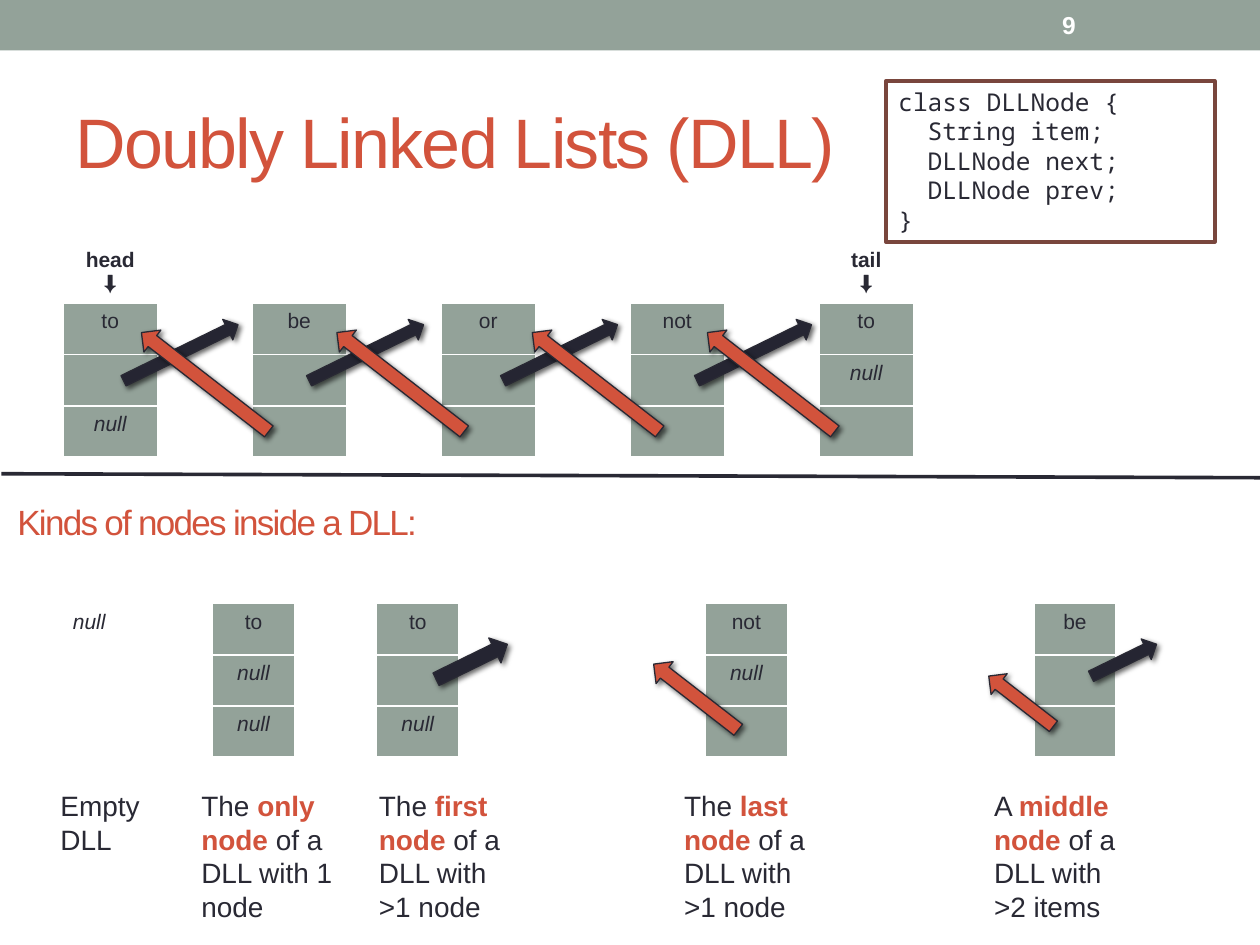
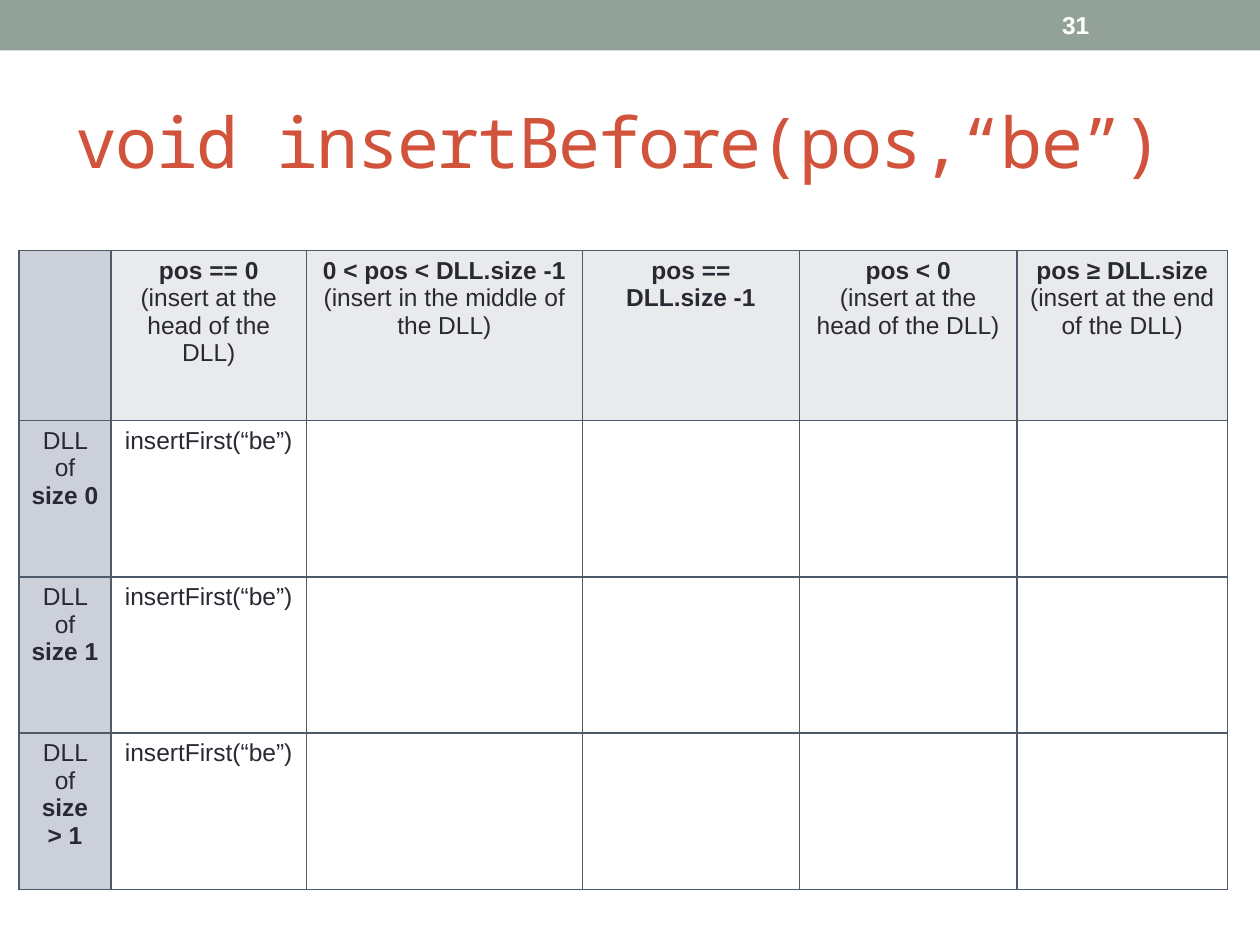
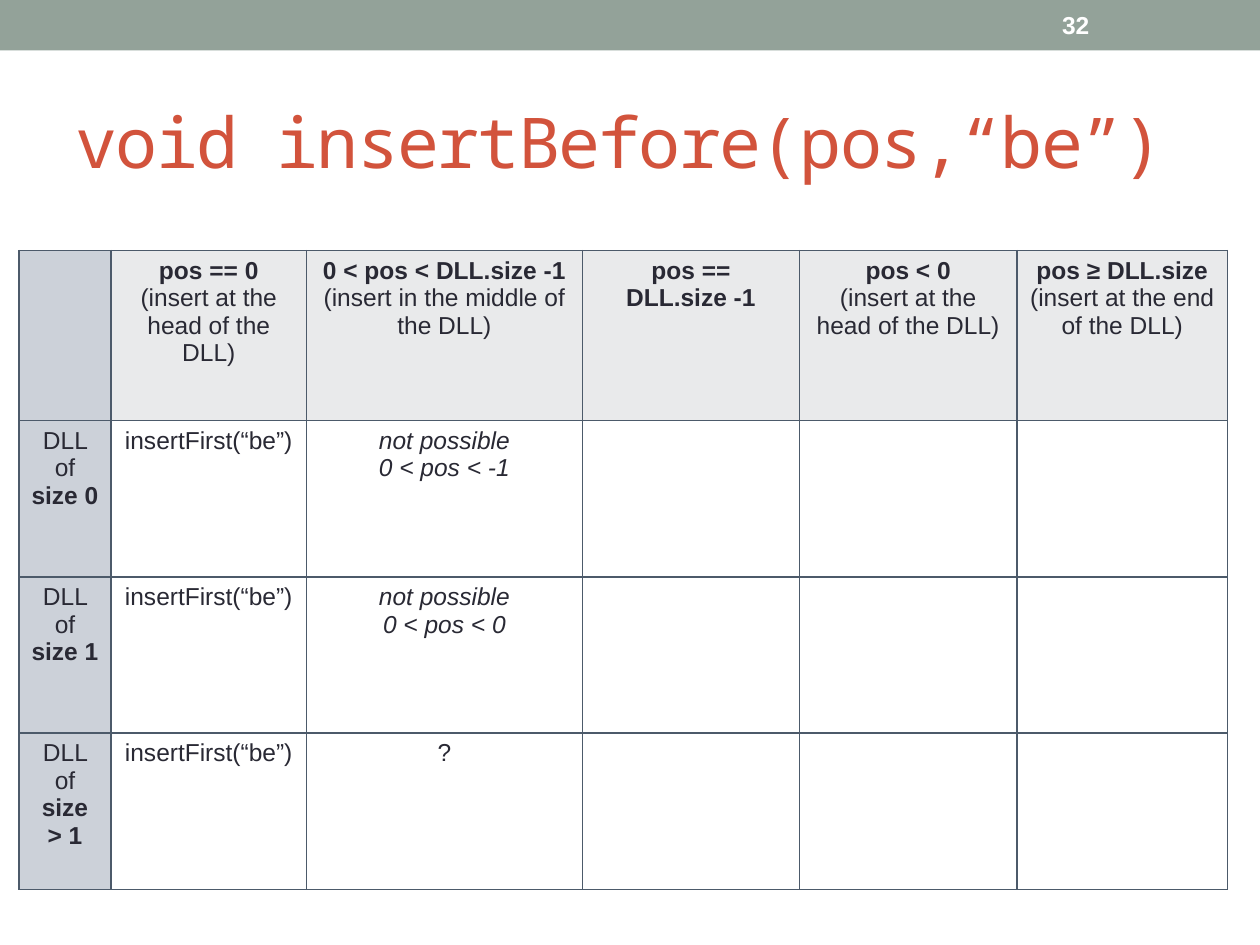
from lxml import etree
from pptx import Presentation
from pptx.dml import color as dml
from pptx.enum import shapes, text
from pptx.oxml import ns
from pptx.util import Cm, Pt

HUES = {
    "ink": "292934", "dark": "252532", "red": "D2533C", "sage": "93A299",
    "white": "FFFFFF", "brown": "79463D", "slate": "4C5A6A",
    "side": "CCD1D9", "head": "E9EAEB",
}
SANS, MONO = "Arial", "Noto Sans Mono"
TURN = {"dark": 333.9, "red": 217.8}  # next arrows and prev arrows


def rgb(hue):
    return dml.RGBColor.from_string(HUES[hue])


def sub(node, tag, **attrs):
    return etree.SubElement(node, ns.qn(tag), attrs)


class Deck:
    def __init__(self):
        self.prs = Presentation()
        self.prs.slide_width, self.prs.slide_height = Cm(25.4), Cm(19.05)
        self.slide = None

    def page(self, title, num, face=SANS):
        """Start a slide with its band, number and title."""
        self.slide = self.prs.slides.add_slide(self.prs.slide_layouts[5])
        self.box((0, 0, 25.4, 1.02), "sage")
        self.note((21.16, 0.05, 2.97, 0.91), [str(num)], size=14,
                  hue="white", bold=True, mid=True)
        head = self.slide.shapes.title
        head.left, head.top, head.width, head.height = map(
            Cm, (1.27, 1.47, 22.86, 2.74))
        self.fill(head.text_frame, [title], 40, "red", face, mid=True, space=-1)

    def fill(self, frame, lines, size, hue="ink", face=SANS, mid=False, **style):
        """Set up a text frame and fill it with lines."""
        frame.word_wrap = True
        frame.auto_size = text.MSO_AUTO_SIZE.NONE
        frame.vertical_anchor = (text.MSO_ANCHOR.MIDDLE if mid
                                 else text.MSO_ANCHOR.TOP)
        self.lines(frame, lines, size, hue, face, **style)

    def lines(self, frame, lines, size, hue="ink", face=SANS, bold=False,
              center=False, accent=None, space=0):
        """Add lines; *words* are bold, a leading _ makes a line italic."""
        for i, line in enumerate(lines):
            para = frame.paragraphs[0] if i == 0 else frame.add_paragraph()
            para.alignment = text.PP_ALIGN.CENTER if center else text.PP_ALIGN.LEFT
            font = para.font
            font.name, font.size, font.bold = face, Pt(size), bold
            font.italic = line.startswith("_")
            font.color.rgb = rgb(hue)
            for j, part in enumerate(line.lstrip("_").split("*")):
                if not part:
                    continue
                run = para.add_run()
                run.text = part
                if j % 2:
                    run.font.bold = True
                    if accent:
                        run.font.color.rgb = rgb(accent)
                if space:
                    run._r.get_or_add_rPr().set("spc", str(space * 100))

    def box(self, area, fill, line=None, width=0.75,
            kind=shapes.MSO_SHAPE.RECTANGLE):
        shape = self.slide.shapes.add_shape(kind, *map(Cm, area))
        shape.shadow.inherit = False
        shape.fill.solid()
        shape.fill.fore_color.rgb = rgb(fill)
        if line:
            shape.line.color.rgb = rgb(line)
            shape.line.width = Pt(width)
        else:
            shape.line.fill.background()
        return shape

    def arrow(self, hue, *area):
        shape = self.box(area, hue, "ink", kind=shapes.MSO_SHAPE.RIGHT_ARROW)
        shape.rotation = TURN[hue]
        glow = sub(shape._element.spPr.find(ns.qn("a:effectLst")), "a:outerShdw",
                   blurRad=str(Pt(3)), dist=str(Pt(2)), dir="2700000",
                   rotWithShape="0")
        sub(sub(glow, "a:srgbClr", val="000000"), "a:alpha", val="60000")

    def note(self, area, lines, **style):
        frame = self.slide.shapes.add_textbox(*map(Cm, area)).text_frame
        self.fill(frame, lines, **style)

    def rule(self, start, end):
        line = self.slide.shapes.add_connector(
            shapes.MSO_CONNECTOR.STRAIGHT, *map(Cm, start + end))
        line.line.color.rgb = rgb("ink")
        line.line.width = Pt(2.08)
        sub(line._element.spPr, "a:effectLst")

    def table(self, left, top, cols, rows, cells, size, edge):
        """Draw a table; cells maps (row, column) to (lines, fill, bold)."""
        grid = self.slide.shapes.add_table(
            len(rows), len(cols), Cm(left), Cm(top),
            Cm(sum(cols)), Cm(sum(rows))).table
        grid.first_row = grid.horz_banding = False
        for col, width in zip(grid.columns, cols):
            col.width = Cm(width)
        for row, height in zip(grid.rows, rows):
            row.height = Cm(height)
        for r in range(len(rows)):
            for c in range(len(cols)):
                cell = grid.cell(r, c)
                lines, fill, bold = cells.get((r, c), ([], None, False))
                self.lines(cell.text_frame, lines, size, bold=bold, center=True)
                self.edges(cell, edge)
                if fill:
                    cell.fill.solid()
                    cell.fill.fore_color.rgb = rgb(fill)
                else:
                    cell.fill.background()

    def edges(self, cell, hue):
        props = cell._tc.get_or_add_tcPr()
        for side in "LRTB":
            line = sub(props, "a:ln" + side, w=str(Pt(1)))
            sub(sub(line, "a:solidFill"), "a:srgbClr", val=HUES[hue])


def nodes(deck, left, top, width, count, first, items):
    """Stand three-field list nodes in a table; items maps column to fields."""
    cells = {}
    for col, (label, fill, *fields) in items.items():
        if label:
            cells[0, col] = ([label, "⬇"], None, True)
        for row, field in enumerate(fields, 1):
            cells[row, col] = ([field] if field else [], fill, False)
    deck.table(left, top, [width] * count, [first] + [1.03] * 3, cells, 12, "white")


def lists(deck):
    deck.page("Doubly Linked Lists (DLL)", 9)
    # The linked list
    nodes(deck, 1.27, 4.88, 1.905, 12, 1.24, {
        0: ("head", "sage", "to", "", "_null"), 2: ("", "sage", "be", "", ""),
        4: ("", "sage", "or", "", ""), 6: ("", "sage", "not", "", ""),
        8: ("tail", "sage", "to", "_null", ""),
    })
    for x in (2.36, 6.1, 10.01, 13.92):
        deck.arrow("dark", x, 6.88, 2.57, 0.46)
    for x in (13.92, 10.39, 6.45, 2.51):
        deck.arrow("red", x, 7.42, 3.25, 0.56)

    # The node class
    code = deck.box((17.86, 1.63, 6.63, 3.25), "white", "brown", 2.08).text_frame
    deck.fill(code, ["class DLLNode {", "String item;", "DLLNode next;",
                     "DLLNode prev;", "}"], 14, face=MONO)
    for para in code.paragraphs[1:4]:
        para._p.get_or_add_pPr().set("marL", str(Cm(0.59)))

    # Kinds of nodes
    nodes(deck, 0.97, 11.1, 1.656, 14, 1.07, {
        0: ("", "white", "_null", "", ""),
        2: ("", "sage", "to", "_null", "_null"),
        4: ("", "sage", "to", "", "_null"),
        8: ("", "sage", "not", "_null", ""),
        12: ("", "sage", "be", "", ""),
    })
    deck.arrow("dark", 21.92, 13.08, 1.47, 0.46)
    deck.arrow("red", 19.76, 13.87, 1.65, 0.53)
    deck.arrow("dark", 8.71, 13.06, 1.6, 0.56)
    deck.arrow("red", 12.95, 13.77, 2.16, 0.56)
    for x, width, words in (
        (0.97, 2.84, "Empty DLL"),
        (3.81, 3.25, "The *only node* of a DLL with 1 node"),
        (7.39, 3.28, "The *first node* of a DLL with >1 node"),
        (13.54, 3.28, "The *last node* of a DLL with >1 node"),
        (19.79, 3.28, "A *middle node* of a DLL with >2 items"),
    ):
        deck.note((x, 15.77, width, 3), [words], size=16, accent="red")
    deck.rule((0.03, 9.55), (25.4, 9.63))
    deck.note((0.1, 9.5, 22.86, 2.01), ["Kinds of nodes inside a DLL:"],
              size=20, hue="red", mid=True, space=-1)


def cases(deck, num, middle):
    """Show the insertBefore cases; middle fills the third column."""
    deck.page("void insertBefore(pos,“be”)", num, MONO)
    heads = [
        [],
        ["*pos == 0*", "(insert at the head of the DLL)"],
        ["*0 < pos < DLL.size -1*", "(insert in the middle of the DLL)"],
        ["*pos ==*", "*DLL.size -1*"],
        ["*pos < 0*", "(insert at the head of the DLL)"],
        ["*pos ≥ DLL.size*", "(insert at the end of the DLL)"],
    ]
    cells = {(0, c): (lines, "head" if c else "side", False)
             for c, lines in enumerate(heads)}
    for r, size in enumerate(("0", "1", "> 1"), 1):
        row = [[f"DLL of *size {size}*"], ["insertFirst(“be”)"],
               middle[r - 1], [], [], []]
        for c, lines in enumerate(row):
            cells[r, c] = (lines, "white" if c else "side", False)
    deck.table(0.38, 5.05, [1.86, 3.94, 5.56, 4.38, 4.38, 4.25],
               [3.43] + [3.15] * 3, cells, 14, "slate")


def main():
    deck = Deck()
    lists(deck)
    cases(deck, 31, [[], [], []])
    cases(deck, 32, [["_not possible", "_0 < pos < -1"],
                     ["_not possible", "_0 < pos < 0"], ["?"]])
    deck.prs.save("out.pptx")


if __name__ == "__main__":
    main()
